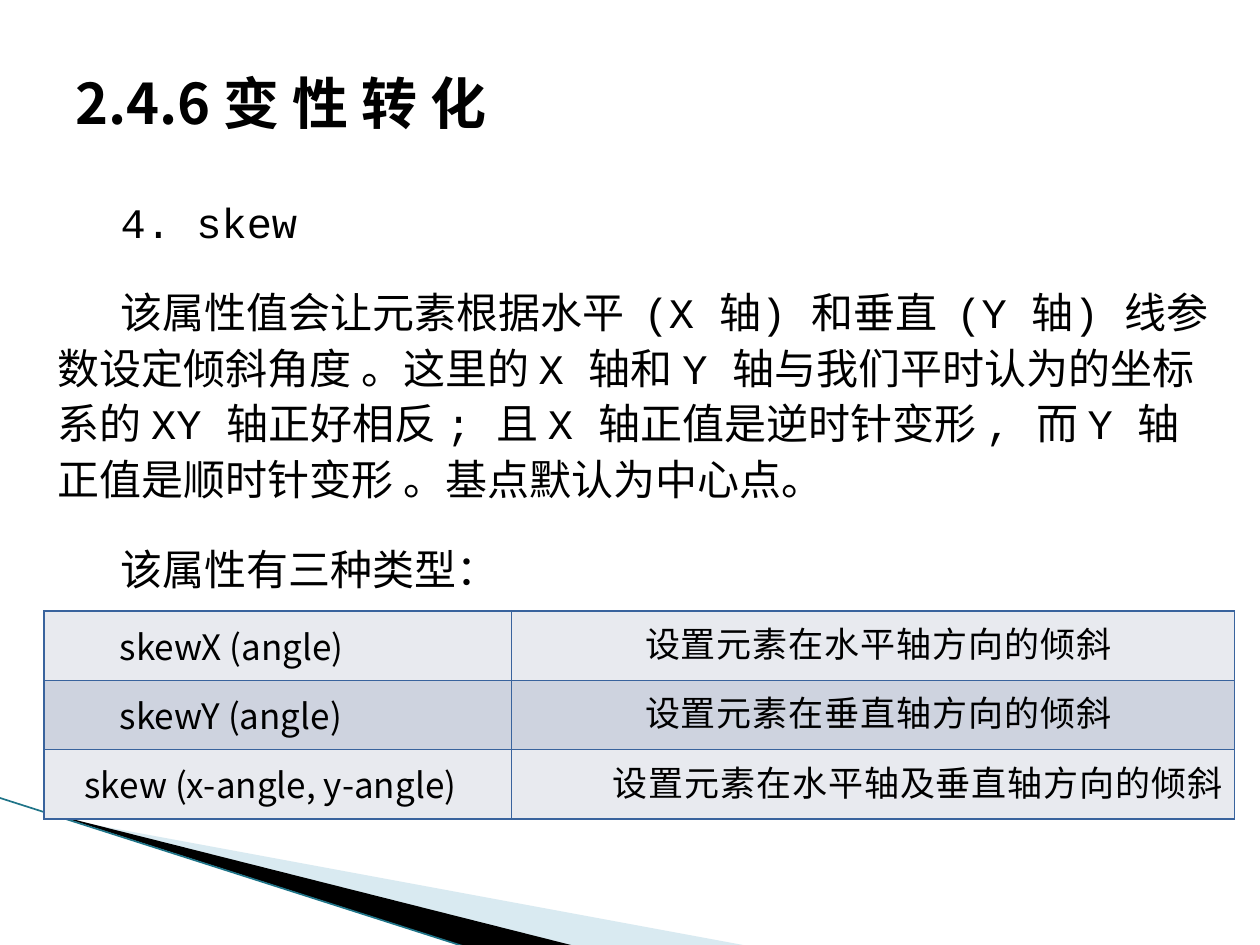
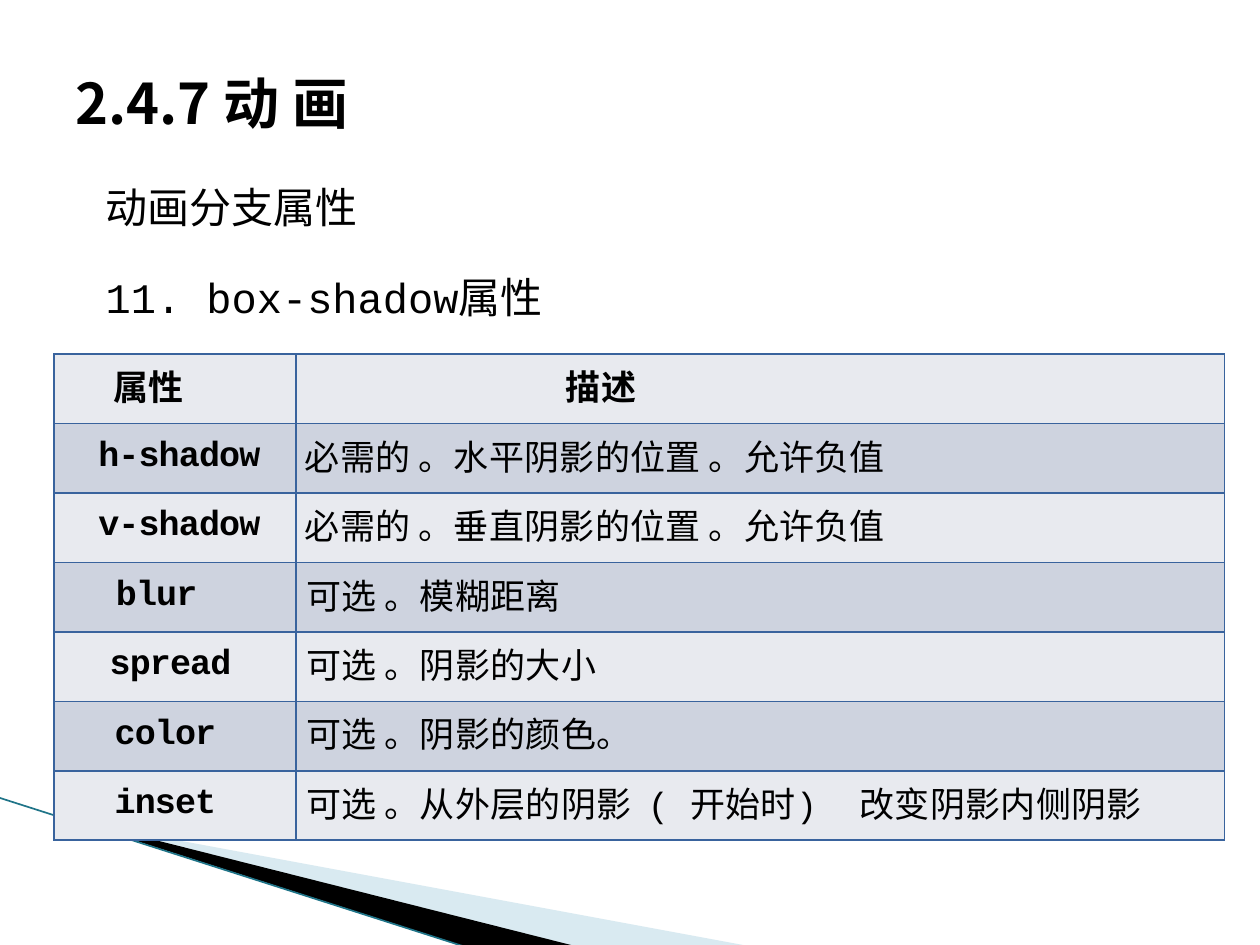
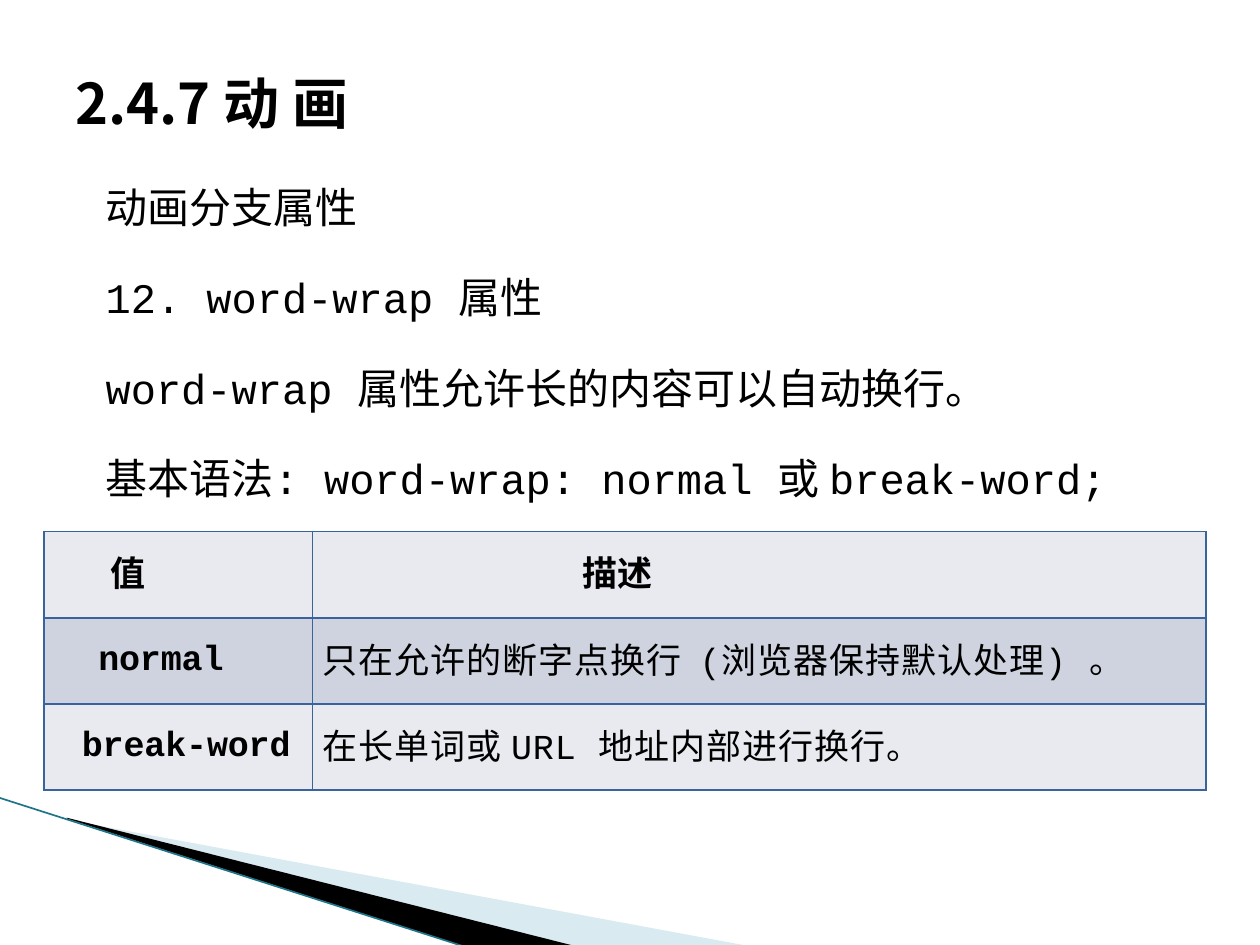
from collections import namedtuple

from lxml.etree import SubElement
from pptx import Presentation
from pptx.dml.color import RGBColor
from pptx.enum.shapes import MSO_CONNECTOR
from pptx.enum.text import MSO_ANCHOR
from pptx.oxml.ns import qn
from pptx.util import Emu, Inches, Pt

SLIDE_W, SLIDE_H = Inches(10), Inches(7.5)

BLACK = "000000"
PALE_BLUE = "A0CBDC"
EDGE_TEAL = "1F7488"
BORDER_BLUE = "39639D"
BANDS = ("E8EAEF", "CED3DF")

CJK = "Noto Sans CJK SC"
MONO = "Courier New"

# Box values are percentages of the slide's width and height.
Box = namedtuple("Box", "left top width height")
CellStyle = namedtuple("CellStyle", "font bold line before spacing")

TITLE_BOX = Box(5, 4, 90, 13.6)

FUNCTION_NAME = CellStyle("Noto Sans CJK JP", False, 0.93, 6.4, 0)
FUNCTION_NOTE = CellStyle("Arial", False, 0.77, 5.5, 0.5)
HEADER = CellStyle(MONO, True, 0.75, 4.5, 0.25)
SHADOW_NAME = CellStyle(MONO, True, 0.69, 5.5, -0.5)
SHADOW_NOTE = CellStyle(MONO, False, 0.78, 4.4, 0.1)
WRAP_NAME = CellStyle(MONO, True, 0.82, 5.2, -0.1)
WRAP_NOTE = CellStyle(MONO, False, 0.8, 4.2, 0.5)


def across(percent):
    return Emu(round(SLIDE_W * percent / 100))


def down(percent):
    return Emu(round(SLIDE_H * percent / 100))


def place(box):
    return across(box.left), down(box.top), across(box.width), down(box.height)


def color(hex_string):
    return RGBColor.from_string(hex_string)


def format_run(run, size, font, bold=False, spacing=0):
    run.font.size = Pt(size)
    run.font.bold = bold
    run.font.color.rgb = color(BLACK)
    run.font.name = font
    properties = run._r.get_or_add_rPr()
    properties.set("spc", str(round(spacing * 100)))
    SubElement(properties, qn("a:ea")).set("typeface", CJK)


def format_paragraph(paragraph, margin, first_line, line, before, after=0):
    properties = paragraph._p.get_or_add_pPr()
    properties.set("marL", str(Inches(margin)))
    properties.set("indent", str(Inches(first_line)))
    paragraph.line_spacing = line
    paragraph.space_before = Pt(before)
    paragraph.space_after = Pt(after)


def add_wedge(slide, points, fill, alpha=100):
    corners = [(across(x), down(y)) for x, y in points]
    builder = slide.shapes.build_freeform(*corners[0], scale=1.0)
    builder.add_line_segments(corners[1:], close=True)
    wedge = builder.convert_to_shape()
    wedge.shadow.inherit = False
    wedge.line.fill.background()
    wedge.fill.solid()
    wedge.fill.fore_color.rgb = color(fill)
    if alpha < 100:
        shade = wedge._element.spPr.find(".//" + qn("a:srgbClr"))
        SubElement(shade, qn("a:alpha")).set("val", str(alpha * 1000))


def add_corner_band(slide):
    add_wedge(slide, [(5.5, 86.8), (59.5, 100.13), (45.6, 100.13), (5.5, 86.67)],
              PALE_BLUE, alpha=40)
    add_wedge(slide, [(5.3, 86.53), (45.7, 100.13), (37.2, 100.27), (5.4, 86.67)],
              BLACK)
    edge = slide.shapes.add_connector(
        MSO_CONNECTOR.STRAIGHT, across(-0.1), down(84.4), across(37.1), down(100.27))
    edge.line.color.rgb = color(EDGE_TEAL)
    edge.line.width = Pt(0.95)
    SubElement(edge._element.spPr, qn("a:effectLst"))


def add_title(slide, title):
    frame = slide.shapes.add_textbox(*place(TITLE_BOX)).text_frame
    frame.word_wrap = True
    frame.vertical_anchor = MSO_ANCHOR.MIDDLE
    frame.text = title
    format_run(frame.paragraphs[0].runs[0], 32, CJK, bold=True)


def add_body(slide, box, lines, first_spacing=1.0):
    frame = slide.shapes.add_textbox(*place(box)).text_frame
    frame.word_wrap = True
    frame.text = "\n".join(lines)
    for index, paragraph in enumerate(frame.paragraphs):
        line = 1.1 if index else first_spacing
        format_paragraph(paragraph, 0.12, 0.5, line, before=10, after=10)
        format_run(paragraph.runs[0], 24, MONO)


def add_borders(cell):
    properties = cell._tc.get_or_add_tcPr()
    for side in ("lnL", "lnR", "lnT", "lnB"):
        border = SubElement(properties, qn(f"a:{side}"), w=str(Pt(1)))
        paint = SubElement(border, qn("a:solidFill"))
        SubElement(paint, qn("a:srgbClr"), val=BORDER_BLUE)


def fill_cell(cell, text, indent, style, background):
    add_borders(cell)
    cell.fill.solid()
    cell.fill.fore_color.rgb = color(background)
    cell.margin_left = cell.margin_right = cell.margin_top = cell.margin_bottom = 0
    cell.vertical_anchor = MSO_ANCHOR.MIDDLE
    cell.text = text
    paragraph = cell.text_frame.paragraphs[0]
    format_paragraph(paragraph, indent, 0, style.line, style.before)
    format_run(paragraph.runs[0], 20, style.font, style.bold, style.spacing)


def add_definitions(slide, box, name_share, rows, styles, has_header=True):
    """Two-column table; each row is (name, name indent, note, note indent)."""
    left, top, width, height = place(box)
    table = slide.shapes.add_table(len(rows), 2, left, top, width, height).table
    table.columns[0].width = Emu(round(width * name_share / 100))
    table.columns[1].width = width - table.columns[0].width
    for index, (name, name_indent, note, note_indent) in enumerate(rows):
        table.rows[index].height = height // len(rows)
        is_header = has_header and index == 0
        name_style, note_style = (HEADER, HEADER) if is_header else styles
        background = BANDS[index % 2]
        fill_cell(table.cell(index, 0), name, name_indent, name_style, background)
        fill_cell(table.cell(index, 1), note, note_indent, note_style, background)


def start_slide(deck, title):
    slide = deck.slides.add_slide(deck.slide_layouts[6])
    add_corner_band(slide)
    add_title(slide, title)
    return slide


def add_skew_slide(deck):
    slide = start_slide(deck, "2.4.6 变 性 转 化")
    add_body(slide, Box(2.4, 19.6, 95.3, 50.4), [
        "4. skew",
        "该属性值会让元素根据水平  (X 轴) 和垂直  (Y 轴) 线参数设定倾斜角度 。"
        "这里的 X 轴和 Y 轴与我们平时认为的坐标系的 XY 轴正好相反 ; "
        "且 X 轴正值是逆时针变形 , 而 Y 轴 正值是顺时针变形 。基点默认为中心点。",
        "该属性有三种类型：",
    ], first_spacing=1.1)
    add_definitions(slide, Box(3.5, 64.67, 94.5, 22), 39.26, [
        ("skewX (angle)", 0.6, "设置元素在水平轴方向的倾斜", 1.06),
        ("skewY (angle)", 0.6, "设置元素在垂直轴方向的倾斜", 1.06),
        ("skew (x-angle, y-angle)", 0.32, "设置元素在水平轴及垂直轴方向的倾斜", 0.8),
    ], (FUNCTION_NAME, FUNCTION_NOTE), has_header=False)


def add_box_shadow_slide(deck):
    slide = start_slide(deck, "2.4.7 动 画")
    add_body(slide, Box(1.2, 18.53, 97.6, 17.87),
             ["动画分支属性", "11. box-shadow属性"])
    add_definitions(slide, Box(4.3, 37.47, 92.9, 51.47), 20.67, [
        ("属性", 0.47, "描述", 2.14),
        ("h-shadow", 0.35, "必需的 。水平阴影的位置 。允许负值", 0.07),
        ("v-shadow", 0.35, "必需的 。垂直阴影的位置 。允许负值", 0.07),
        ("blur", 0.49, "可选 。模糊距离", 0.08),
        ("spread", 0.44, "可选 。阴影的大小", 0.08),
        ("color", 0.48, "可选 。阴影的颜色。", 0.08),
        ("inset", 0.48, "可选 。从外层的阴影  ( 开始时)  改变阴影内侧阴影", 0.08),
    ], (SHADOW_NAME, SHADOW_NOTE))


def add_word_wrap_slide(deck):
    slide = start_slide(deck, "2.4.7 动 画")
    add_body(slide, Box(1.2, 18.53, 97.6, 36.8), [
        "动画分支属性",
        "12. word-wrap 属性",
        "word-wrap 属性允许长的内容可以自动换行。",
        "基本语法: word-wrap: normal 或 break-word;",
    ])
    add_definitions(slide, Box(3.5, 56.27, 92.2, 27.33), 23.1, [
        ("值", 0.53, "描述", 2.14),
        ("normal", 0.43, "只在允许的断字点换行  (浏览器保持默认处理) 。", 0.08),
        ("break-word", 0.3, "在长单词或 URL 地址内部进行换行。", 0.08),
    ], (WRAP_NAME, WRAP_NOTE))


def main():
    deck = Presentation()
    deck.slide_width, deck.slide_height = SLIDE_W, SLIDE_H
    add_skew_slide(deck)
    add_box_shadow_slide(deck)
    add_word_wrap_slide(deck)
    deck.save("out.pptx")


if __name__ == "__main__":
    main()
